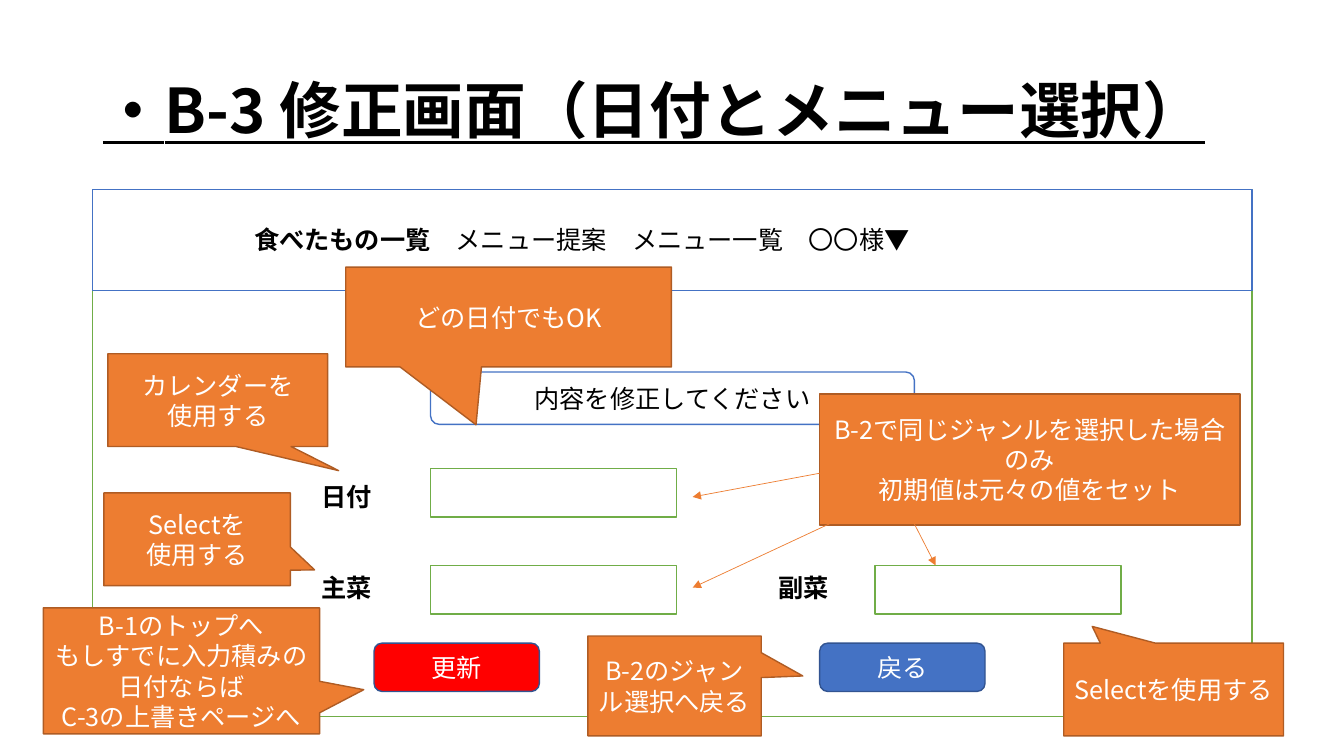
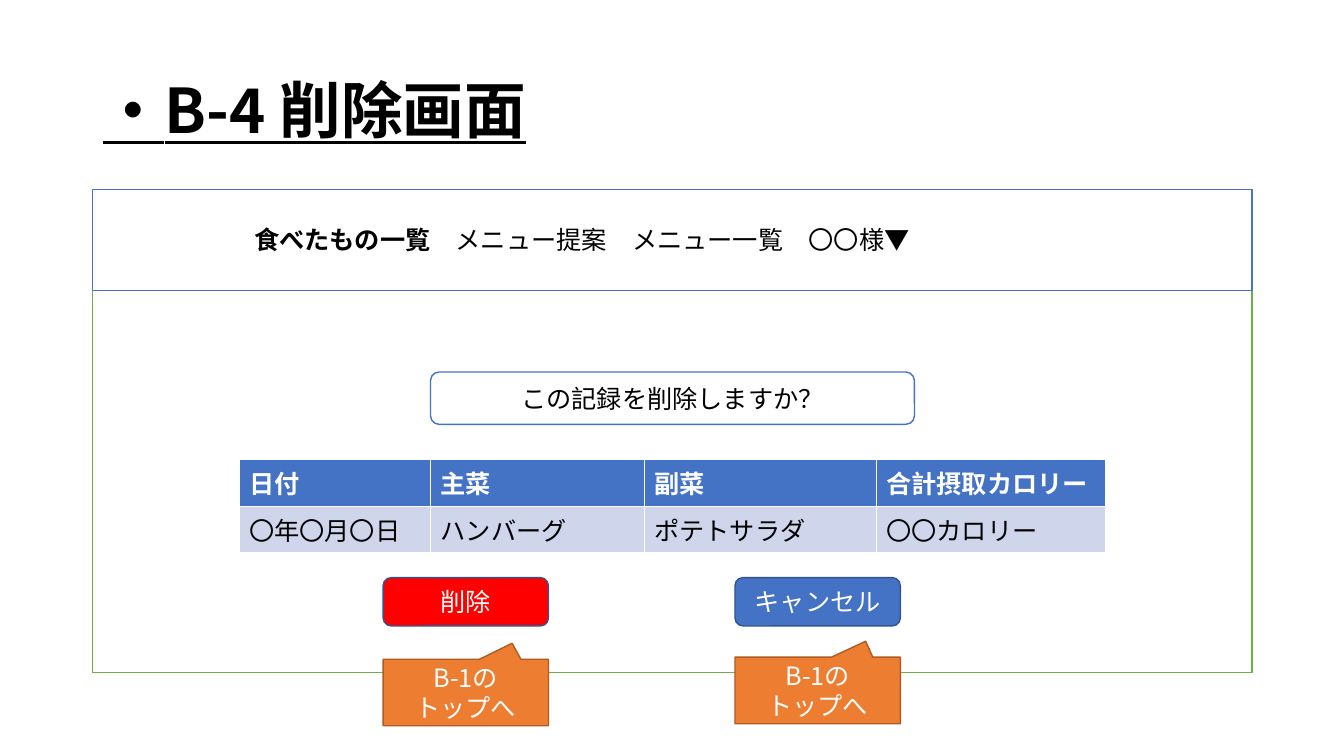
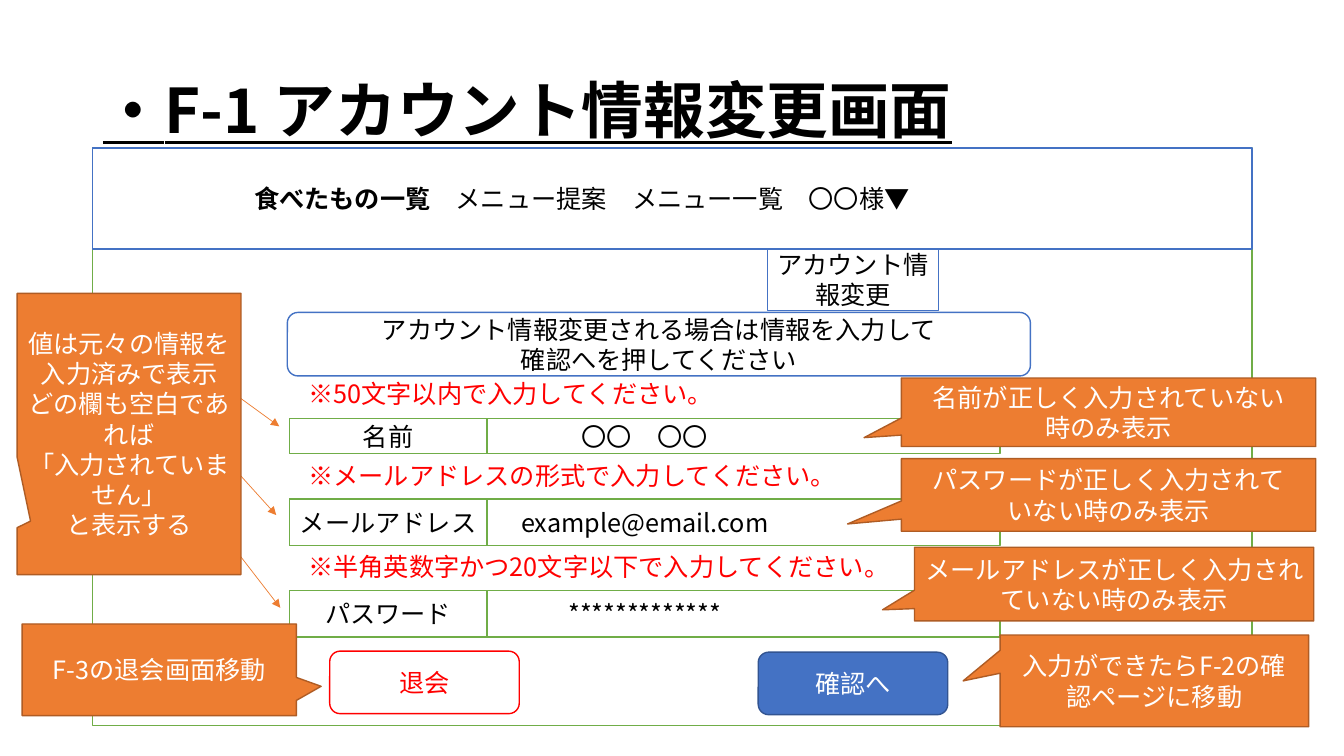
import pptx
import pptx.util
import pptx.dml.color
import pptx.enum.shapes
import pptx.enum.text
import lxml.etree
import pptx.oxml.ns

# Theme and shared geometry, in inches and points
THEME = dict(
    font="Noto Sans CJK JP", title=44, body=18,
    white="FFFFFF", black="000000", red="FF0000",
    blue="4472C4", blue_edge="325491", green="70AD47",
    orange="ED7D31", orange_edge="AF5C24", band="CFD5EA",
)
WIDTH, HEIGHT = 13.33, 7.5
EDGE, SPAN, NAV_H = 0.92, 11.5, 1
FIELD_W, FIELD_H, LABEL_W = 2.44, 0.48, 0.94
LABEL_GAP = 1.18
MESSAGE = (4.27, 3.69, 4.8, 0.52)
BUTTON = (1.64, 0.48)
WIDE_BUTTON = (1.88, 0.62)

# Shape styles: fill, line, text colour
STYLES = dict(
    screen=("white", "green", "black"), panel=("white", "blue", "black"),
    primary=("blue", "blue_edge", "white"), danger=("red", "blue_edge", "white"),
    outline=("white", "red", "red"), note=("orange", "orange_edge", "white"),
)
NAV = [("食べたもの一覧　", True), ("メニュー提案　メニュー一覧　〇〇様▼", False)]

# Content: edit screen
EDIT_FIELDS = [("日付", 3.09, 4.73, 4.65), ("主菜", 3.09, 5.63, 5.61), ("副菜", 7.5, 5.63, 5.61)]
EDIT_BUTTONS = [("戻る", 8.13, 6.38, "primary"), ("更新", 3.71, 6.38, "danger")]
EDIT_ARROWS = [(8.37, 4.65, 6.87, 4.93), (8.37, 5.13, 6.87, 5.83), (9.06, 5.18, 9.28, 5.61)]
EDIT_RULE = ("B-2で同じジャンルを選択した場合のみ\n初期値は元々の値をセット", (8.13, 3.91, 4.17, 1.3))
EDIT_NOTES = [
    ("カレンダーを\n使用する", (1.07, 3.51, 2.18, 0.92), (0.55, 0.76)),
    ("Selectを使用する", (10.55, 6.38, 2.18, 0.92), (-0.37, -0.68)),
    ("Selectを\n使用する", (1.03, 4.89, 1.85, 0.92), (0.63, 0.33)),
    ("B-1のトップへ\nもしすでに入力積みの日付ならば\nC-3の上書きページへ",
     (0.43, 6.03, 2.74, 1.25), (0.66, 0.15)),
    ("B-2のジャンル選択へ戻る", (5.83, 6.31, 1.72, 0.99), (0.74, -0.1)),
    ("どの日付でもOK", (3.43, 2.65, 3.23, 0.99), (-0.1, 1.08)),
]

# Content: delete screen
RECORD = [["日付", "主菜", "副菜", "合計摂取カロリー"],
          ["〇年〇月〇日", "ハンバーグ", "ポテトサラダ", "〇〇カロリー"]]
RECORD_AT, RECORD_COLS, RECORD_ROW = (2.37, 4.56), (1.9, 2.12, 2.3, 2.28), 0.42
DELETE_BUTTONS = [("キャンセル", 7.29, 5.73, "primary"), ("削除", 3.8, 5.73, "danger")]
DELETE_NOTES = [("B-1の\nトップへ", (3.8, 6.54, 1.64, 0.66), (0.28, -0.74)),
                ("B-1の\nトップへ", (7.29, 6.52, 1.64, 0.66), (0.29, -0.74))]

# Content: account screen
ACCOUNT_X, ACCOUNT_W, ACCOUNT_LABEL_W = 2.87, 7.05, 1.96
ACCOUNT_ROWS = [  # label, value, row top, row height, hint, hint top
    ("名前", "〇〇　〇〇", 4.15, 0.35, "※50文字以内で入力してください。", 3.7),
    ("メールアドレス", "example@email.com", 4.95, 0.46,
     "※メールアドレスの形式で入力してください。", 4.52),
    ("パスワード", "*************", 5.86, 0.46,
     "※半角英数字かつ20文字以下で入力してください。", 5.42),
]
ACCOUNT_BUTTONS = [("確認へ", 7.52, 6.47, "primary"), ("退会", 3.27, 6.46, "outline")]
ACCOUNT_ARROWS = [(2.22, 3.83, 2.77, 4.23), (1.98, 4.27, 2.74, 5.11), (1.49, 4.36, 2.78, 6.03)]
ACCOUNT_NOTES = [
    ("入力ができたらF-2の確認ページに移動", (9.92, 6.3, 3.06, 0.91), (-0.62, 0)),
    ("メールアドレスが正しく入力されていない時のみ表示", (9.07, 5.43, 3.96, 0.73), (-0.58, 0.35)),
    ("パスワードが正しく入力されて\nいない時のみ表示", (8.94, 4.55, 4.11, 0.72), (-0.63, 0.4)),
    ("名前が正しく入力されていない\n時のみ表示", (8.94, 3.75, 4.11, 0.68), (-0.59, 0.37)),
    ("値は元々の情報を入力済みで表示\nどの欄も空白であれば\n「入力されていません」\nと表示する",
     (0.17, 2.91, 2.22, 2.79), (-0.44, 0.31)),
    ("F-3の退会画面移動", (0.22, 6.19, 2.72, 0.91), (0.59, 0.18)),
]

SHAPE = pptx.enum.shapes.MSO_SHAPE
ALIGN = pptx.enum.text.PP_ALIGN
ANCHOR = pptx.enum.text.MSO_ANCHOR


def inches(values):
    return [pptx.util.Inches(v) for v in values]


def rgb(name):
    return pptx.dml.color.RGBColor.from_string(THEME[name])


def add_run(p, text, color="black", size="body", **formats):
    r = p.add_run()
    r.text = text
    r.font.color.rgb = rgb(color)
    formats.update(size=pptx.util.Pt(THEME[size]), name=THEME["font"])
    for key, value in formats.items():
        setattr(r.font, key, value)
    ea = lxml.etree.SubElement(r.font._element, pptx.oxml.ns.qn("a:ea"))
    ea.set("typeface", THEME["font"])


def write(tf, text, color, align, **formats):
    tf.word_wrap = True
    for i, line in enumerate(text.split("\n")):
        p = tf.paragraphs[0] if i == 0 else tf.add_paragraph()
        p.alignment = align
        add_run(p, line, color, **formats)


def add_box(s, box, style, text="", kind=SHAPE.RECTANGLE, tip=()):
    fill, line, color = STYLES[style]
    sp = s.shapes.add_shape(kind, *inches(box))
    sp.shadow.inherit = False
    sp.fill.solid()
    sp.fill.fore_color.rgb = rgb(fill)
    sp.line.color.rgb = rgb(line)
    sp.line.width = pptx.util.Pt(1)
    for i, value in enumerate(tip):
        sp.adjustments[i] = value
    if text:
        sp.text_frame.vertical_anchor = ANCHOR.MIDDLE
        write(sp.text_frame, text, color, ALIGN.CENTER)
    return sp


def add_label(s, box, text, color="black", **formats):
    sp = s.shapes.add_textbox(*inches(box))
    write(sp.text_frame, text, color, ALIGN.LEFT, **formats)


def add_message(s, box, text):
    add_box(s, box, "panel", text, SHAPE.ROUNDED_RECTANGLE)


def add_buttons(s, buttons, size):
    for text, x, y, style in buttons:
        add_box(s, (x, y, *size), style, text, SHAPE.ROUNDED_RECTANGLE)


def add_notes(s, notes):
    for text, box, tip in notes:
        add_box(s, box, "note", text, SHAPE.RECTANGULAR_CALLOUT, tip)


def add_arrows(s, arrows):
    for ends in arrows:
        line = s.shapes.add_connector(pptx.enum.shapes.MSO_CONNECTOR.STRAIGHT, *inches(ends))
        line.line.color.rgb = rgb("orange")
        line.line.width = pptx.util.Pt(0.5)
        tail = lxml.etree.SubElement(line.line._get_or_add_ln(), pptx.oxml.ns.qn("a:tailEnd"))
        tail.set("type", "triangle")
        lxml.etree.SubElement(line._element.spPr, pptx.oxml.ns.qn("a:effectLst"))


def add_screen(prs, title, top, height):
    """Slide with its title, the screen outline and the navigation bar."""
    s = prs.slides.add_slide(prs.slide_layouts[5])
    sp = s.shapes.title
    sp.left, sp.top, sp.width, sp.height = inches((EDGE, 0.4, SPAN, 1.45))
    tf = sp.text_frame
    tf.auto_size = pptx.enum.text.MSO_AUTO_SIZE.NONE
    tf.vertical_anchor = ANCHOR.MIDDLE
    write(tf, title, "black", ALIGN.LEFT, size="title", bold=True, underline=True)
    tf.paragraphs[0].line_spacing = 0.9

    add_box(s, (EDGE, top, SPAN, height), "screen")
    tf = add_box(s, (EDGE, top, SPAN, NAV_H), "panel").text_frame
    tf.vertical_anchor = ANCHOR.MIDDLE
    tf.margin_left = pptx.util.Inches(1.6)
    p = tf.paragraphs[0]
    p.alignment = ALIGN.LEFT
    for text, bold in NAV:
        add_run(p, text, bold=bold)
    return s


def add_record_table(s):
    size = (sum(RECORD_COLS), RECORD_ROW * len(RECORD))
    table = s.shapes.add_table(len(RECORD), len(RECORD_COLS), *inches(RECORD_AT + size)).table
    for column, width in zip(table.columns, inches(RECORD_COLS)):
        column.width = width
    for i, row in enumerate(RECORD):
        table.rows[i].height = pptx.util.Inches(RECORD_ROW)
        fill, color = ("band", "black") if i else ("blue", "white")
        for j, text in enumerate(row):
            cell = table.cell(i, j)
            cell.fill.solid()
            cell.fill.fore_color.rgb = rgb(fill)
            write(cell.text_frame, text, color, ALIGN.LEFT, bold=i == 0)


def edit_slide(prs):
    s = add_screen(prs, "・B-3 修正画面（日付とメニュー選択）", 1.88, 5.23)
    add_message(s, MESSAGE, "内容を修正してください")
    for text, x, label_y, field_y in EDIT_FIELDS:
        add_label(s, (x + (0.12 if x > WIDTH / 2 else 0), label_y, LABEL_W, 0.4), text, bold=True)
        add_box(s, (x + LABEL_GAP, field_y, FIELD_W, FIELD_H), "screen")
    add_buttons(s, EDIT_BUTTONS, BUTTON)
    text, box = EDIT_RULE
    add_box(s, box, "note", text)
    add_arrows(s, EDIT_ARROWS)
    add_notes(s, EDIT_NOTES)


def delete_slide(prs):
    s = add_screen(prs, "・B-4 削除画面", 1.88, 4.79)
    add_message(s, MESSAGE, "この記録を削除しますか？")
    add_record_table(s)
    add_buttons(s, DELETE_BUTTONS, BUTTON)
    add_notes(s, DELETE_NOTES)


def account_slide(prs):
    s = add_screen(prs, "・F-1 アカウント情報変更画面", 1.47, 5.73)
    add_box(s, (7.61, 2.47, 1.7, 0.61), "panel", "アカウント情報変更")
    add_message(s, (2.85, 3.1, 7.37, 0.63),
                "アカウント情報変更される場合は情報を入力して\n確認へを押してください")
    for label, value, y, h, hint, hint_y in ACCOUNT_ROWS:
        add_box(s, (ACCOUNT_X, y, ACCOUNT_W, h), "screen", value)
        add_box(s, (ACCOUNT_X, y, ACCOUNT_LABEL_W, h), "screen", label)
        add_label(s, (2.96, hint_y, 6.06, 0.4), hint, "red")
    add_buttons(s, ACCOUNT_BUTTONS, WIDE_BUTTON)
    add_arrows(s, ACCOUNT_ARROWS)
    add_notes(s, ACCOUNT_NOTES)


def main():
    prs = pptx.Presentation()
    prs.slide_width, prs.slide_height = inches((WIDTH, HEIGHT))
    for build in (edit_slide, delete_slide, account_slide):
        build(prs)
    prs.save("out.pptx")


if __name__ == "__main__":
    main()
